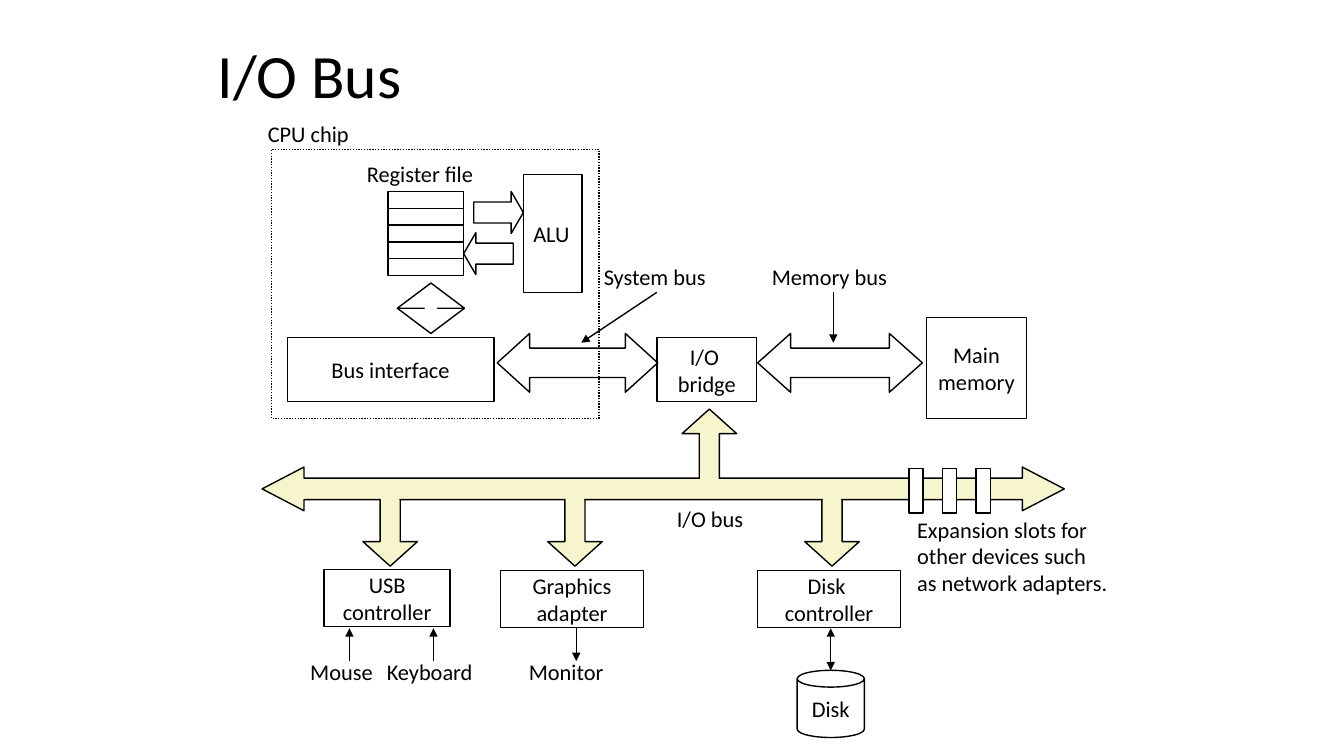
"""Build the I/O bus slide on a grid of 160 columns by 90 rows."""
from lxml import etree
from pptx import Presentation
from pptx import util as u
from pptx.dml.color import RGBColor
from pptx.enum import dml, shapes, text
from pptx.oxml import ns

BLACK = RGBColor(0x00, 0x00, 0x00)
WHITE = RGBColor(0xFF, 0xFF, 0xFF)
CREAM = RGBColor(0xF7, 0xF5, 0xCD)
CENTER = text.PP_ALIGN.CENTER
LEFT = text.PP_ALIGN.LEFT
KIND = shapes.MSO_SHAPE


class Diagram:
    """Holds the style and the current slide, and draws on its grid."""

    font = "Calibri"
    size = 16
    columns, rows = 160, 90

    def __init__(self, deck):
        self.slide = deck.slides.add_slide(deck.slide_layouts[5])
        self.column = deck.slide_width / self.columns
        self.row = deck.slide_height / self.rows

    def place(self, x, y, width, height):
        return (round(x * self.column), round(y * self.row),
                round(width * self.column), round(height * self.row))

    def set_words(self, box, words, align, size=None, wrap=False):
        frame = box.text_frame
        frame.text = words
        frame.word_wrap = wrap
        frame.vertical_anchor = text.MSO_ANCHOR.MIDDLE
        for para in frame.paragraphs:
            para.alignment = align
            for span in para.runs:
                span.font.name = self.font
                span.font.size = u.Pt(size or self.size)
                span.font.color.rgb = BLACK

    def title(self, words, *area):
        box = self.slide.shapes.title
        box.left, box.top, box.width, box.height = self.place(*area)
        self.set_words(box, words, LEFT, size=44, wrap=True)
        box.text_frame.auto_size = text.MSO_AUTO_SIZE.NONE
        box.text_frame.paragraphs[0].line_spacing = 0.9

    def label(self, words, x, y, width, height=4.4, align=LEFT):
        box = self.slide.shapes.add_textbox(*self.place(x, y, width, height))
        self.set_words(box, words, align)

    def shape(self, kind, *area, words="", align=CENTER, fill=None,
              outline=True, dash=None, adjust=()):
        box = self.slide.shapes.add_shape(kind, *self.place(*area))
        box.shadow.inherit = False
        for index, value in enumerate(adjust):
            box.adjustments[index] = value
        if fill is None:
            box.fill.background()
        else:
            box.fill.solid()
            box.fill.fore_color.rgb = fill
        if outline:
            box.line.color.rgb = BLACK
            box.line.width = u.Pt(1)
            if dash:
                box.line.dash_style = dash
        else:
            box.line.fill.background()
        if words:
            self.set_words(box, words, align)

    def box(self, words, *area, align=CENTER):
        self.shape(KIND.RECTANGLE, *area, words=words, align=align)

    def arrow(self, start, end, ends=("tailEnd",)):
        x1, y1, x2, y2 = self.place(*start, *end)
        line = self.slide.shapes.add_connector(
            shapes.MSO_CONNECTOR.STRAIGHT, x1, y1, x2, y2)
        line.line.color.rgb = BLACK
        line.line.width = u.Pt(1)
        properties = line.element.spPr
        stroke = properties.find(ns.qn("a:ln"))
        for end_name in ends:
            etree.SubElement(stroke, ns.qn("a:" + end_name), type="triangle")
        etree.SubElement(properties, ns.qn("a:effectLst"))


def draw_cpu(diagram):
    """Draw the CPU chip with its registers, ALU and bus interface."""
    diagram.box("Bus interface", 34.2, 40.2, 24.6, 7.6)
    for register in range(5):
        diagram.box("", 46.2, 22.8 + 2 * register, 9, 2)
    diagram.shape(KIND.RIGHT_ARROW, 56.4, 22.8, 5.9, 5, adjust=(0.5, 0.29))
    diagram.shape(KIND.LEFT_ARROW, 55.2, 27.7, 5.9, 5, adjust=(0.5, 0.29))
    diagram.box("ALU", 62.3, 20.8, 7, 14, align=LEFT)
    diagram.label("Register file", 42.2, 18.5, 15.6, align=CENTER)
    diagram.shape(KIND.UP_DOWN_ARROW, 47.3, 33.7, 8, 6, adjust=(0.5, 0.2))
    diagram.shape(KIND.RECTANGLE, 32.3, 17.8, 39, 32,
                  dash=dml.MSO_LINE.ROUND_DOT)
    diagram.label("CPU chip", 30.7, 13.7, 12.4)


def draw_memory(diagram):
    """Draw the bridge, the main memory and the buses between them."""
    diagram.box("Main\nmemory", 110.3, 37.8, 11.9, 12)
    diagram.box("I/O \nbridge", 78.2, 40.2, 11.9, 7.6)
    for left, width, head in ((59.2, 19.1, 0.55), (90.2, 19.6, 0.56)):
        diagram.shape(KIND.LEFT_RIGHT_ARROW, left, 39.7, width, 7,
                      adjust=(0.5, head))
    diagram.label("System bus", 70.7, 30.7, 15)
    diagram.arrow((78.2, 34.8), (69.2, 40.8))
    diagram.label("Memory bus", 90.7, 30.7, 16.6)
    diagram.arrow((99.2, 34.8), (99.2, 40.8))


def draw_io_bus(diagram):
    """Draw the I/O bus with its branches and expansion slots."""
    branches = [(KIND.UP_ARROW, 81.2, 48.7, 56.8)]
    branches += [(KIND.DOWN_ARROW, left, 58.4, 57.7)
                 for left in (43.2, 65.2, 95.8)]
    for kind, left, top, joint in branches:
        diagram.shape(kind, left, top, 6.5, 9, fill=CREAM, adjust=(0.37, 0.45))
    diagram.shape(KIND.LEFT_RIGHT_ARROW, 31.2, 55.6, 95.5, 5.2, fill=CREAM,
                  adjust=(0.49, 0.96))
    for kind, left, top, joint in branches:
        diagram.shape(KIND.RECTANGLE, left + 2.15, joint, 2.2, 2, fill=CREAM,
                      outline=False)
    for slot in range(3):
        diagram.shape(KIND.RECTANGLE, 108.2 + 4 * slot, 55.8, 1.7, 5.3,
                      fill=WHITE)
    diagram.label("I/O bus", 79.4, 59.5, 10.7)
    diagram.label("Expansion slots for\nother devices such\n"
                  "as network adapters.", 108, 60.8, 25.9, 10.8)


def draw_devices(diagram):
    """Draw the controllers and the devices attached to them."""
    diagram.box("USB\ncontroller", 38.6, 67.8, 15, 6.8)
    diagram.box("Graphics\nadapter", 59.6, 67.9, 17, 6.8)
    diagram.box("Disk \ncontroller", 90.2, 67.9, 17, 6.8)
    for center, bottom, ends in ((41.6, 78.7, ("headEnd",)),
                                 (51.6, 78.7, ("headEnd",)),
                                 (68.6, 78.7, ("tailEnd",)),
                                 (98.9, 79.8, ("headEnd", "tailEnd"))):
        diagram.arrow((center, 74.8), (center, bottom), ends)
    for device, left, width in (("Mouse", 35.6, 10.1),
                                ("Keyboard", 44.6, 13.1),
                                ("Monitor", 61.6, 11.6)):
        diagram.label(device, left, 77.8, width, align=CENTER)
    diagram.shape(KIND.CAN, 94.9, 79.8, 8, 8, words="Disk", adjust=(0.25,))


deck = Presentation()
deck.slide_width, deck.slide_height = u.Inches(13.33), u.Inches(7.5)
diagram = Diagram(deck)
diagram.title("I/O Bus", 24.7, 4.4, 99.6, 10)
draw_cpu(diagram)
draw_memory(diagram)
draw_io_bus(diagram)
draw_devices(diagram)
deck.save("out.pptx")
